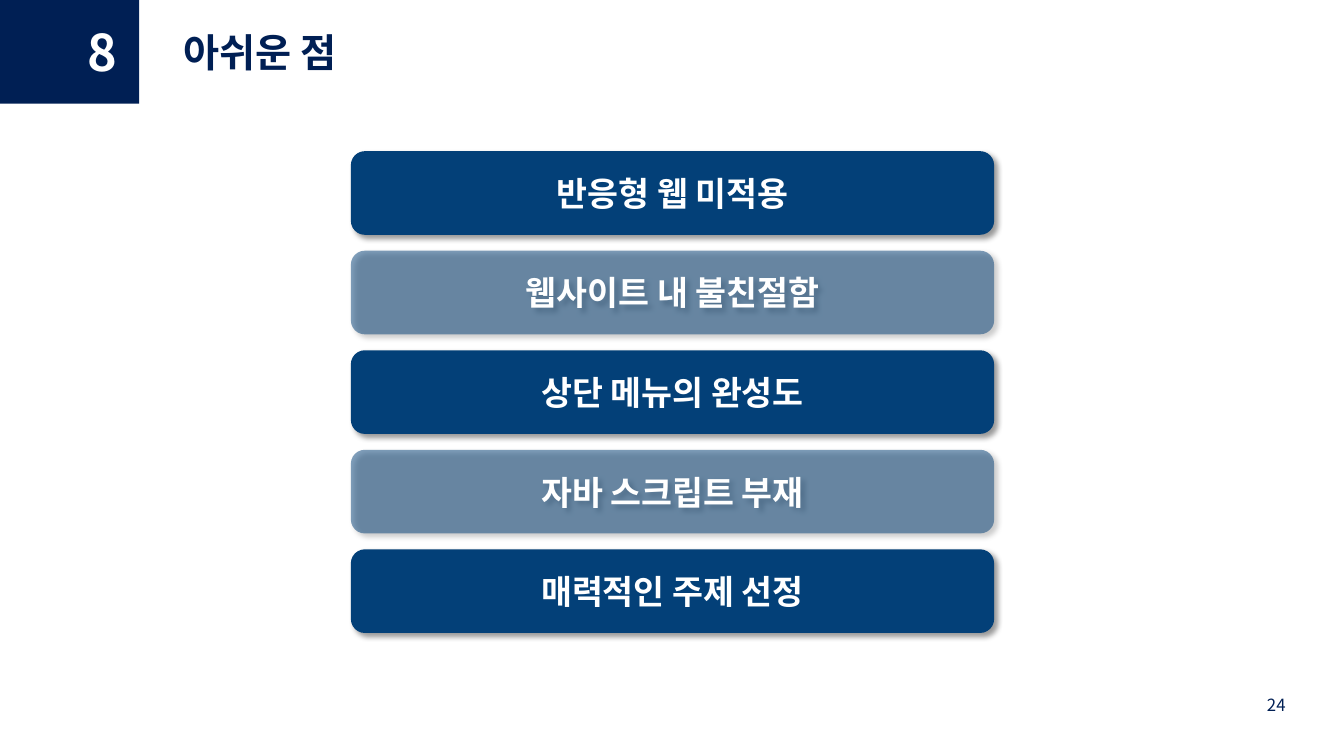
from dataclasses import dataclass

from lxml import etree
from pptx import Presentation
from pptx import util as u
from pptx.dml.color import RGBColor
from pptx.enum import shapes, text
from pptx.oxml import ns

FONT = "Noto Sans CJK KR"
COLOURS = {"navy": "001F54", "blue": "034078", "white": "FFFFFF", "shadow": "000000"}
BAR_LEFT, BAR_TOP, BAR_WIDTH, BAR_HEIGHT, BAR_PITCH = 3.48, 1.5, 6.38, 0.83, 0.9875


@dataclass(frozen=True)
class Label:
    """Wording and format of a single line of text."""

    wording: str
    size: int
    colour: str
    bold: bool = True
    align: text.PP_ALIGN = text.PP_ALIGN.LEFT
    anchor: text.MSO_ANCHOR = text.MSO_ANCHOR.TOP
    wrap: bool = True
    auto_size: text.MSO_AUTO_SIZE = text.MSO_AUTO_SIZE.NONE


@dataclass(frozen=True)
class Regret:
    """One bar of the list, with its fill opacity in percent."""

    wording: str
    opacity: int = 100


REGRETS = [
    Regret("반응형 웹 미적용"),
    Regret("웹사이트 내 불친절함", 50),
    Regret("상단 메뉴의 완성도"),
    Regret("자바 스크립트 부재", 50),
    Regret("매력적인 주제 선정"),
]


def rgb(name: str) -> RGBColor:
    """Return a named colour."""
    return RGBColor.from_string(COLOURS[name])


def place(shape, left: float, top: float, width: float, height: float) -> None:
    """Move and size a shape, in inches."""
    box = {"left": left, "top": top, "width": width, "height": height}
    for name, length in box.items():
        setattr(shape, name, u.Inches(length))


def write(shape, label: Label) -> None:
    """Write a formatted line into a shape."""
    frame = shape.text_frame
    layout = {
        "word_wrap": label.wrap,
        "auto_size": label.auto_size,
        "vertical_anchor": label.anchor,
    }
    for name, value in layout.items():
        setattr(frame, name, value)
    line = frame.paragraphs[0]
    line.alignment = label.align
    run = line.add_run()
    run.text = label.wording
    for name, value in {"size": u.Pt(label.size), "bold": label.bold, "name": FONT}.items():
        setattr(run.font, name, value)
    run.font.color.rgb = rgb(label.colour)
    etree.SubElement(run._r.get_or_add_rPr(), ns.qn("a:ea"), typeface=FONT)


def add_label(slide, label: Label, left: float, top: float, width: float, height: float) -> None:
    """Add a text box holding one label."""
    box = slide.shapes.add_textbox(*map(u.Inches, (left, top, width, height)))
    write(box, label)


def add_block(slide, kind: shapes.MSO_SHAPE, colour: str, left: float, top: float,
              width: float, height: float):
    """Add a filled shape without outline or shadow."""
    block = slide.shapes.add_shape(kind, *map(u.Inches, (left, top, width, height)))
    block.shadow.inherit = False
    block.fill.solid()
    block.fill.fore_color.rgb = rgb(colour)
    block.line.fill.background()
    return block


def add_alpha(colour, percent: int) -> None:
    """Give a colour element an opacity."""
    etree.SubElement(colour, ns.qn("a:alpha"), val=str(percent * 1000))


def add_bar(slide, regret: Regret, top: float) -> None:
    """Add a rounded bar with its drop shadow and wording."""
    bar = add_block(slide, shapes.MSO_SHAPE.ROUNDED_RECTANGLE, "blue",
                    BAR_LEFT, top, BAR_WIDTH, BAR_HEIGHT)
    properties = bar.element.spPr
    if regret.opacity < 100:
        add_alpha(properties.find(ns.qn("a:solidFill"))[0], regret.opacity)
    drop = etree.SubElement(
        properties.find(ns.qn("a:effectLst")), ns.qn("a:outerShdw"),
        blurRad=str(u.Pt(4)), dist=str(u.Pt(3)), dir=str(45 * 60000),
        algn="tl", rotWithShape="0")
    add_alpha(etree.SubElement(drop, ns.qn("a:srgbClr"), val=COLOURS["shadow"]), 40)
    write(bar, Label(regret.wording, 24, "white", align=text.PP_ALIGN.CENTER,
                     anchor=text.MSO_ANCHOR.MIDDLE))


def main() -> None:
    """Build and save the slide."""
    deck = Presentation()
    deck.slide_width, deck.slide_height = u.Inches(13.33), u.Inches(7.5)
    slide = deck.slides.add_slide(deck.slide_layouts[5])
    grow = text.MSO_AUTO_SIZE.SHAPE_TO_FIT_TEXT

    add_block(slide, shapes.MSO_SHAPE.RECTANGLE, "navy", 0, 0, 1.38, 1.03)
    add_label(slide, Label("8", 36, "white", wrap=False, auto_size=grow), 0.77, 0.16, 0.57, 0.71)
    heading = slide.shapes.title
    place(heading, 1.72, 0.23, 1.76, 0.57)
    write(heading, Label("아쉬운 점", 28, "navy", wrap=False, auto_size=grow))
    add_label(slide, Label("24", 12, "navy", bold=False, align=text.PP_ALIGN.RIGHT,
                           anchor=text.MSO_ANCHOR.MIDDLE), 9.85, 6.79, 3, 0.4)

    for row, regret in enumerate(REGRETS):
        add_bar(slide, regret, BAR_TOP + row * BAR_PITCH)
    deck.save("out.pptx")


if __name__ == "__main__":
    main()
